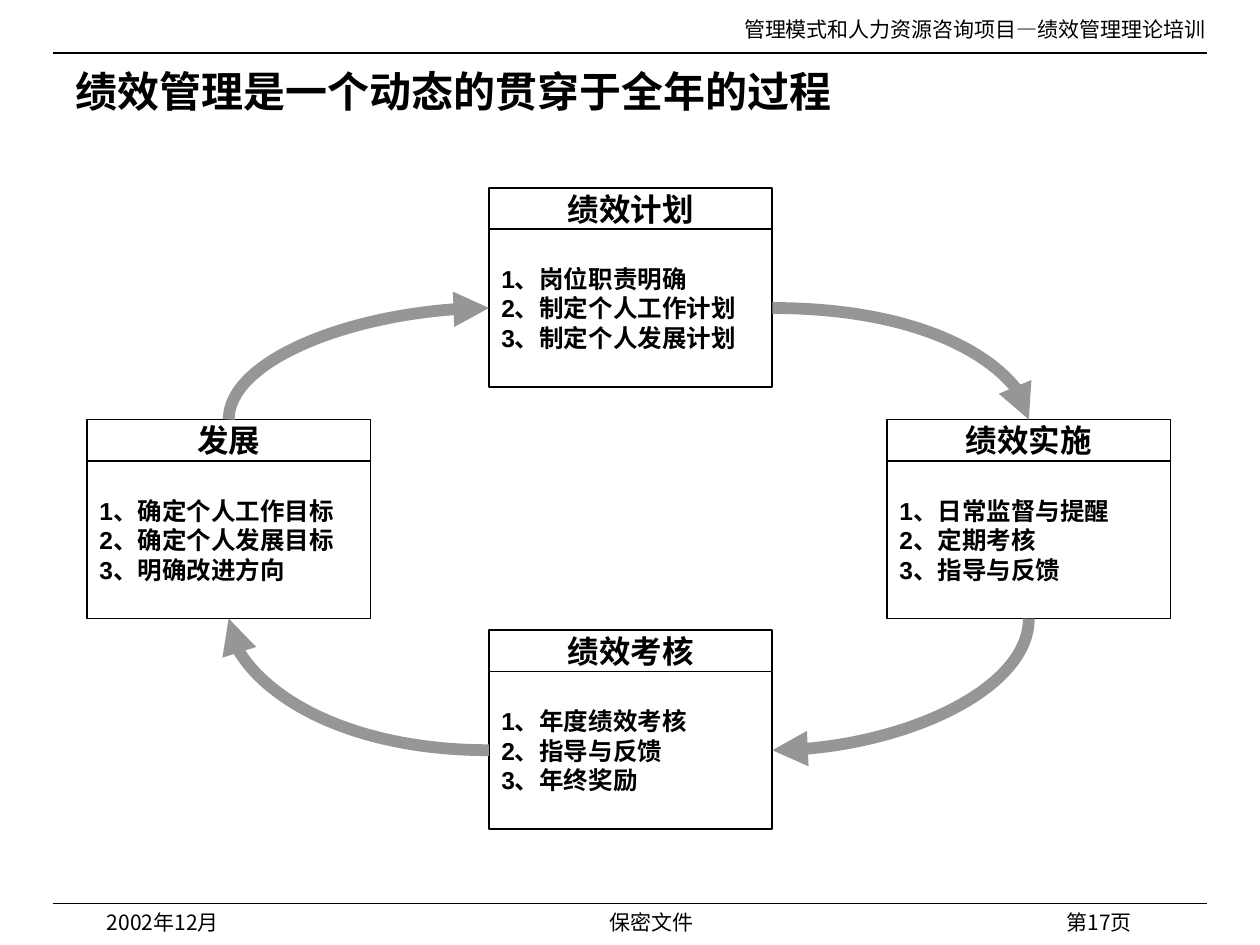
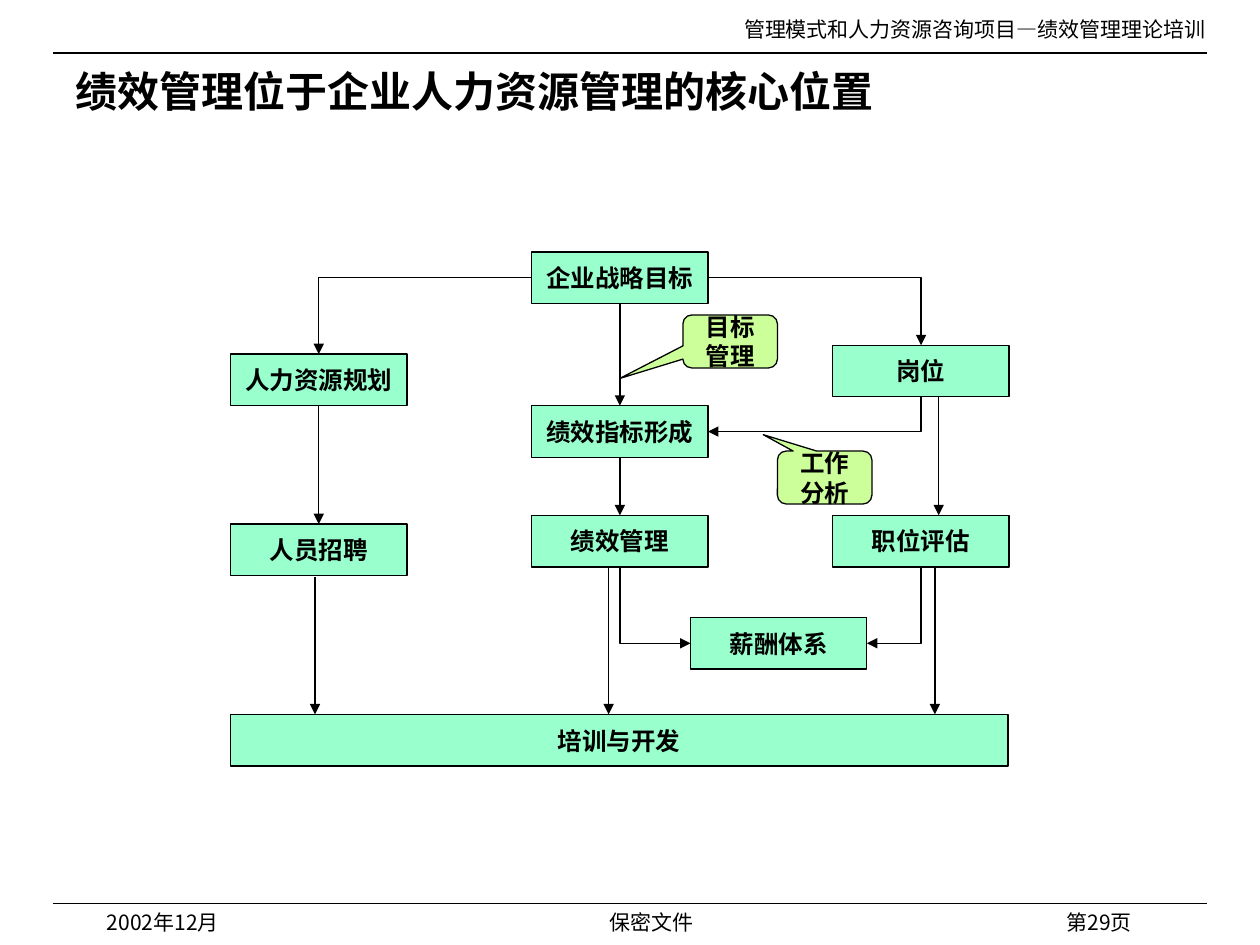
"""Build two slides on performance management: a yearly cycle and an HR process map."""
import lxml.etree
import pptx
import pptx.dml.color
import pptx.enum.shapes
import pptx.enum.text
import pptx.oxml.ns
import pptx.util

Inches = pptx.util.Inches
Pt = pptx.util.Pt
qn = pptx.oxml.ns.qn
PRESET = pptx.enum.shapes.MSO_SHAPE
LINK = pptx.enum.shapes.MSO_CONNECTOR
ALIGN = pptx.enum.text.PP_ALIGN
ANCHOR = pptx.enum.text.MSO_ANCHOR

COLORS = {"ink": "000000", "cycle": "969696", "step": "99FFCC", "note": "CCFF99"}
LATIN, SANS, CJK = "Times New Roman", "Arial", "Noto Sans CJK SC"
TOP, LEFT, BOTTOM, RIGHT = range(4)
PROJECT = "管理模式和人力资源咨询项目—绩效管理理论培训"


def rgb(key):
    """Return the named colour."""
    return pptx.dml.color.RGBColor.from_string(COLORS[key])


def write_text(shape, text, size=12, font=LATIN, bold=False, align=ALIGN.LEFT,
               anchor=ANCHOR.TOP):
    """Fill a shape with text, one paragraph a line."""
    frame = shape.text_frame
    frame.word_wrap = True
    frame.vertical_anchor = anchor
    frame.text = text
    for paragraph in frame.paragraphs:
        paragraph.alignment = align
        for run in paragraph.runs:
            run.font.size = Pt(size)
            run.font.bold = bold
            run.font.color.rgb = rgb("ink")
            run.font.name = font
            east_asian = lxml.etree.SubElement(run.font._element, qn("a:ea"))
            east_asian.set("typeface", CJK)


def add_label(slide, text, left, top, width, height, **style):
    """Add a text box."""
    label = slide.shapes.add_textbox(*map(Inches, (left, top, width, height)))
    write_text(label, text, **style)


def add_box(slide, text, left, top, width, height, preset=PRESET.RECTANGLE,
            fill=None, weight=0.75, align=ALIGN.CENTER, **style):
    """Add an outlined shape with bold text."""
    box = slide.shapes.add_shape(preset, *map(Inches, (left, top, width, height)))
    box.shadow.inherit = False
    if fill:
        box.fill.solid()
        box.fill.fore_color.rgb = rgb(fill)
    else:
        box.fill.background()
    box.line.color.rgb = rgb("ink")
    box.line.width = Pt(weight)
    write_text(box, text, bold=True, align=align, anchor=ANCHOR.MIDDLE, **style)
    return box


def style_line(line, color="ink", weight=0.75, arrow=True):
    """Set the stroke and arrowhead of a connector."""
    line.line.color.rgb = rgb(color)
    line.line.width = Pt(weight)
    properties = line.element.spPr
    if arrow:
        head = lxml.etree.SubElement(properties.find(qn("a:ln")), qn("a:tailEnd"))
        head.set("type", "triangle")
    lxml.etree.SubElement(properties, qn("a:effectLst"))


def add_line(slide, x1, y1, x2, y2, **stroke):
    """Add a straight line between two points."""
    line = slide.shapes.add_connector(LINK.STRAIGHT, *map(Inches, (x1, y1, x2, y2)))
    style_line(line, **stroke)


def turn_once(line, preset, vertical_first):
    """Give a connector a single turn, leaving along the given axis."""
    properties = line.element.spPr
    properties.find(qn("a:prstGeom")).set("prst", preset)
    if not vertical_first:
        return
    dx, dy = line.end_x - line.begin_x, line.end_y - line.begin_y
    center_x = (line.begin_x + line.end_x) // 2
    center_y = (line.begin_y + line.end_y) // 2
    line.width, line.height = abs(dy), abs(dx)
    line.left, line.top = center_x - abs(dy) // 2, center_y - abs(dx) // 2
    frame = properties.find(qn("a:xfrm"))
    frame.set("rot", "5400000")
    frame.set("flipH", str(int(dy < 0)))
    frame.set("flipV", str(int(dx > 0)))


def link(slide, start, start_side, end, end_side, kind=LINK.STRAIGHT, **stroke):
    """Join the sides of two boxes with an arrow."""
    arrow = slide.shapes.add_connector(kind, 0, 0, 0, 0)
    arrow.begin_connect(start, start_side)
    arrow.end_connect(end, end_side)
    presets = {LINK.ELBOW: "bentConnector2", LINK.CURVE: "curvedConnector2"}
    if kind in presets:
        turn_once(arrow, presets[kind], start_side in (TOP, BOTTOM))
    style_line(arrow, **stroke)


def add_page(deck, title, number):
    """Add a slide with the running header, title and footer."""
    slide = deck.slides.add_slide(deck.slide_layouts[6])
    for rule_y in (0.42, 7.17):
        add_line(slide, 0.42, rule_y, 9.58, rule_y, arrow=False)
    add_label(slide, PROJECT, 5, 0.08, 4.67, 0.3, align=ALIGN.RIGHT)
    footers = (("2002年12月", 0.75, 2.08, ALIGN.LEFT),
               ("保密文件", 2.92, 4.5, ALIGN.CENTER),
               (f"第{number}页", 7, 2.08, ALIGN.RIGHT))
    for text, left, width, align in footers:
        add_label(slide, text, left, 7.17, width, 0.25, font=CJK, align=align)
    add_label(slide, title, 0.5, 0.47, 8.92, 0.5, size=24, bold=True,
              anchor=ANCHOR.MIDDLE)
    return slide


def add_stage(slide, name, tasks, left, top):
    """Add a stage of the cycle and return its heading and task boxes."""
    heading = add_box(slide, name, left, top, 2.25, 0.33, weight=1, size=18, font=SANS)
    numbered = "\n".join(f"{i}、{task}" for i, task in enumerate(tasks, 1))
    body = add_box(slide, numbered, left, top + 0.33, 2.25, 1.25, weight=1,
                   align=ALIGN.LEFT, size=14, font=SANS)
    return heading, body


def build_cycle(deck):
    """Build the slide on the yearly cycle."""
    slide = add_page(deck, "绩效管理是一个动态的贯穿于全年的过程", 17)
    _, plan = add_stage(slide, "绩效计划", ("岗位职责明确", "制定个人工作计划", "制定个人发展计划"),
                        3.88, 1.49)
    _, review = add_stage(slide, "绩效考核", ("年度绩效考核", "指导与反馈", "年终奖励"), 3.88, 5)
    growth_heading, growth = add_stage(
        slide, "发展", ("确定个人工作目标", "确定个人发展目标", "明确改进方向"), 0.69, 3.33)
    action_heading, action = add_stage(
        slide, "绩效实施", ("日常监督与提醒", "定期考核", "指导与反馈"), 7.04, 3.33)
    for turn in ((plan, RIGHT, action_heading, TOP), (action, BOTTOM, review, RIGHT),
                 (review, LEFT, growth, BOTTOM), (growth_heading, TOP, plan, LEFT)):
        link(slide, *turn, kind=LINK.CURVE, color="cycle", weight=6.75)


def build_process_map(deck):
    """Build the slide on the place of performance management in HR."""
    slide = add_page(deck, "绩效管理位于企业人力资源管理的核心位置", 29)
    planning_x, performance_x, post_x = (1.83 + 2.39 * column for column in range(3))

    def step(name, left, top, width=1.4):
        return add_box(slide, name, left, top, width, 0.41, fill="step", size=14)

    strategy = step("企业战略目标", performance_x, 2)
    evaluation = step("职位评估", post_x, 4.09)
    planning = step("人力资源规划", planning_x, 2.81)
    indicators = step("绩效指标形成", performance_x, 3.22)
    post = step("岗位", post_x, 2.74)
    management = step("绩效管理", performance_x, 4.09)
    hiring = step("人员招聘", planning_x, 4.16)
    pay = step("薪酬体系", 5.48, 4.9)
    step("培训与开发", planning_x, 5.67, width=6.17)

    for upper, lower in ((strategy, indicators), (indicators, management),
                         (planning, hiring)):
        link(slide, upper, BOTTOM, lower, TOP)
    for turn in ((strategy, RIGHT, post, TOP), (strategy, LEFT, planning, TOP),
                 (post, BOTTOM, indicators, RIGHT), (evaluation, BOTTOM, pay, RIGHT),
                 (management, BOTTOM, pay, LEFT)):
        link(slide, *turn, kind=LINK.ELBOW)
    for x, start_y, end_y in ((7.45, 3.15, 4.09), (2.5, 4.58, 5.67),
                              (4.83, 4.5, 5.67), (7.42, 4.5, 5.67)):
        add_line(slide, x, start_y, x, end_y)

    for text, left, top, pointer in (("目标管理", 5.42, 2.5, (-1.17, 0.7)),
                                     ("工作分析", 6.17, 3.58, (-0.65, -0.81))):
        note = add_box(slide, text, left, top, 0.75, 0.42, fill="note", size=14,
                       preset=PRESET.ROUNDED_RECTANGULAR_CALLOUT)
        note.adjustments[0], note.adjustments[1] = pointer


def main():
    """Build and save the deck."""
    deck = pptx.Presentation()
    deck.slide_width, deck.slide_height = Inches(10), Inches(7.5)
    build_cycle(deck)
    build_process_map(deck)
    deck.save("out.pptx")


if __name__ == "__main__":
    main()
